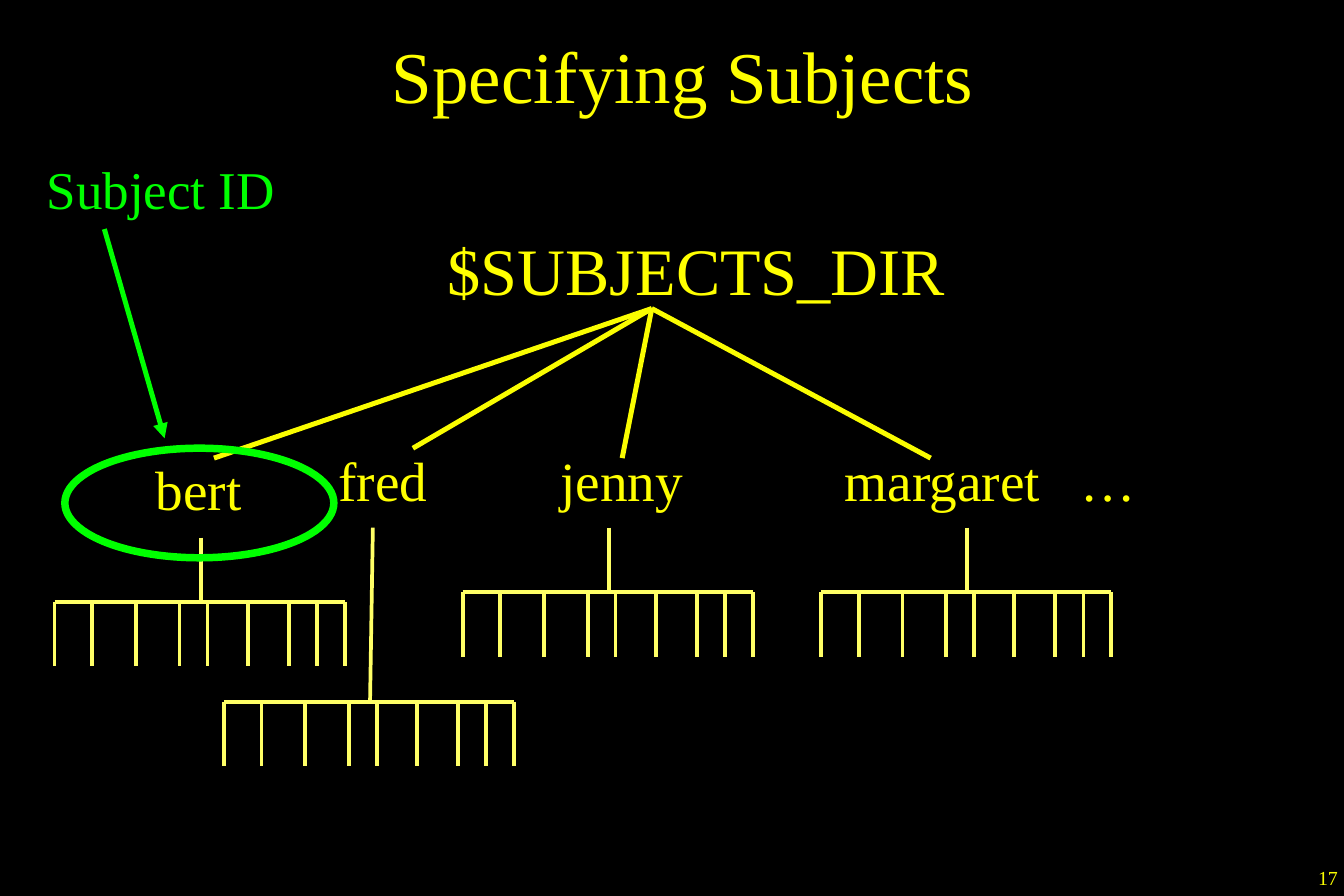
import pptx
import pptx.dml.color
import pptx.enum.shapes
import pptx.enum.text
import pptx.oxml
import pptx.oxml.ns
import pptx.util
from dataclasses import dataclass

Cm, Pt = pptx.util.Cm, pptx.util.Pt
PP_ALIGN = pptx.enum.text.PP_ALIGN
ANCHOR = pptx.enum.text.MSO_ANCHOR
STRAIGHT = pptx.enum.shapes.MSO_CONNECTOR.STRAIGHT


@dataclass(frozen=True)
class Theme:
    font: str = "Times New Roman"
    background: str = "000000"
    text: str = "FFFF00"
    branch: str = "FAFD00"
    tree: str = "FFFF66"
    accent: str = "00FF00"
    title_size: float = 44
    root_size: float = 40
    name_size: float = 33.3
    label_size: float = 32
    number_size: float = 12
    branch_width: float = 3
    tree_width: float = 2.25
    ring_width: float = 4.5


THEME = Theme()

# Folder trees: offsets from the left end of the bar, in cm
TICKS = (0, 0.8, 1.73, 2.66, 3.25, 4.11, 4.98, 5.58, 6.17)
STEM = 3.11
TICK_HEIGHT = 1.37


def rgb(value):
    return pptx.dml.color.RGBColor.from_string(value)


def add_text(s, box, text, size, color=THEME.text, align=PP_ALIGN.CENTER,
             anchor=ANCHOR.TOP, side_margin=0.25, spacing=None):
    tf = s.shapes.add_textbox(*map(Cm, box)).text_frame
    p = tf.paragraphs[0]
    r = p.add_run()
    r.text = text
    formats = (
        (tf, {"word_wrap": True, "vertical_anchor": anchor,
              "margin_left": Cm(side_margin),
              "margin_right": Cm(side_margin)}),
        (p, {"alignment": align, "line_spacing": spacing}),
        (r.font, {"name": THEME.font, "size": Pt(size)}),
    )
    for target, values in formats:
        for name, value in values.items():
            setattr(target, name, value)
    r.font.color.rgb = rgb(color)


def add_line(shapes, start, end, color, width):
    line = shapes.add_connector(STRAIGHT, *map(Cm, (*start, *end)))
    line.line.color.rgb = rgb(color)
    line.line.width = Pt(width)
    sp_pr = line._element.spPr
    sp_pr.append(pptx.oxml.parse_xml(
        f'<a:effectLst {pptx.oxml.ns.nsdecls("a")}/>'))
    return line


def add_root(s, box, branch_ends):
    """Place the root folder's name and its branches to the subjects."""
    add_text(s, box, "$SUBJECTS_DIR", THEME.root_size, anchor=ANCHOR.MIDDLE)
    left, top = box[:2]
    hub = (left + 5.5, top + 1.91)
    for end in branch_ends:
        add_line(s.shapes, hub, end, THEME.branch, THEME.branch_width)


def add_tree(s, left, top, stem_top, lean=0):
    """Draw a stem, a bar and its ticks; lean shifts the top of the stem."""
    tree = s.shapes.add_group_shape().shapes
    stem = left + STEM
    lines = [((stem + lean, stem_top), (stem, top)),
             ((left, top), (left + TICKS[-1], top))]
    lines += [((left + x, top), (left + x, top + TICK_HEIGHT)) for x in TICKS]
    for start, end in lines:
        add_line(tree, start, end, THEME.tree, THEME.tree_width)


def add_subject_id(s, box, ring_box):
    """Place the label, the ring round a subject and the arrow between them."""
    ring = s.shapes.add_shape(pptx.enum.shapes.MSO_SHAPE.OVAL,
                              *map(Cm, ring_box))
    ring.shadow.inherit = False
    ring.fill.background()
    ring.line.color.rgb = rgb(THEME.accent)
    ring.line.width = Pt(THEME.ring_width)

    left, top, _, height = box
    arrow = add_line(s.shapes, (left + 1.48, top + height + 0.04),
                     (ring_box[0] + 2.12, ring_box[1] - 0.21),
                     THEME.accent, THEME.branch_width)
    arrow.line._get_or_add_ln().append(pptx.oxml.parse_xml(
        f'<a:tailEnd {pptx.oxml.ns.nsdecls("a")} type="triangle"/>'))
    add_text(s, box, "Subject ID", THEME.label_size, THEME.accent,
             PP_ALIGN.LEFT)


def main():
    prs = pptx.Presentation()
    prs.slide_width, prs.slide_height = Cm(28.58), Cm(19.05)
    s = prs.slides.add_slide(prs.slide_layouts[6])
    s.background.fill.solid()
    s.background.fill.fore_color.rgb = rgb(THEME.background)

    add_text(s, (28.03, 18.29, 0.55, 0.76), "17", THEME.number_size,
             THEME.branch, PP_ALIGN.LEFT, side_margin=0)
    add_text(s, (5, 0, 19.05, 3.18), "Specifying Subjects", THEME.title_size,
             anchor=ANCHOR.MIDDLE)

    names = (("bert", 2.22, 9.95, 4.02), ("fred", 4.97, 9.74, 6.35),
             ("jenny", 10.05, 9.74, 6.35), ("margaret", 17.04, 9.74, 6),
             ("…", 22.47, 9.74, 2.2))
    for name, left, top, width in names:
        add_text(s, (left, top, width, 1.27), name, THEME.name_size,
                 spacing=0.7)

    add_root(s, (8.36, 4.65, 12.9, 2.12),
             ((4.55, 9.74), (8.78, 9.53), (13.23, 9.74), (19.79, 9.74)))

    add_tree(s, 1.16, 12.8, 11.43)
    add_tree(s, 9.84, 12.59, 11.22)
    add_tree(s, 17.46, 12.59, 11.22)
    add_tree(s, 4.76, 14.92, 11.22, lean=0.06)

    add_subject_id(s, (0.74, 3.2, 6, 1.63), (1.38, 9.53, 5.72, 2.33))
    prs.save("out.pptx")


if __name__ == "__main__":
    main()
